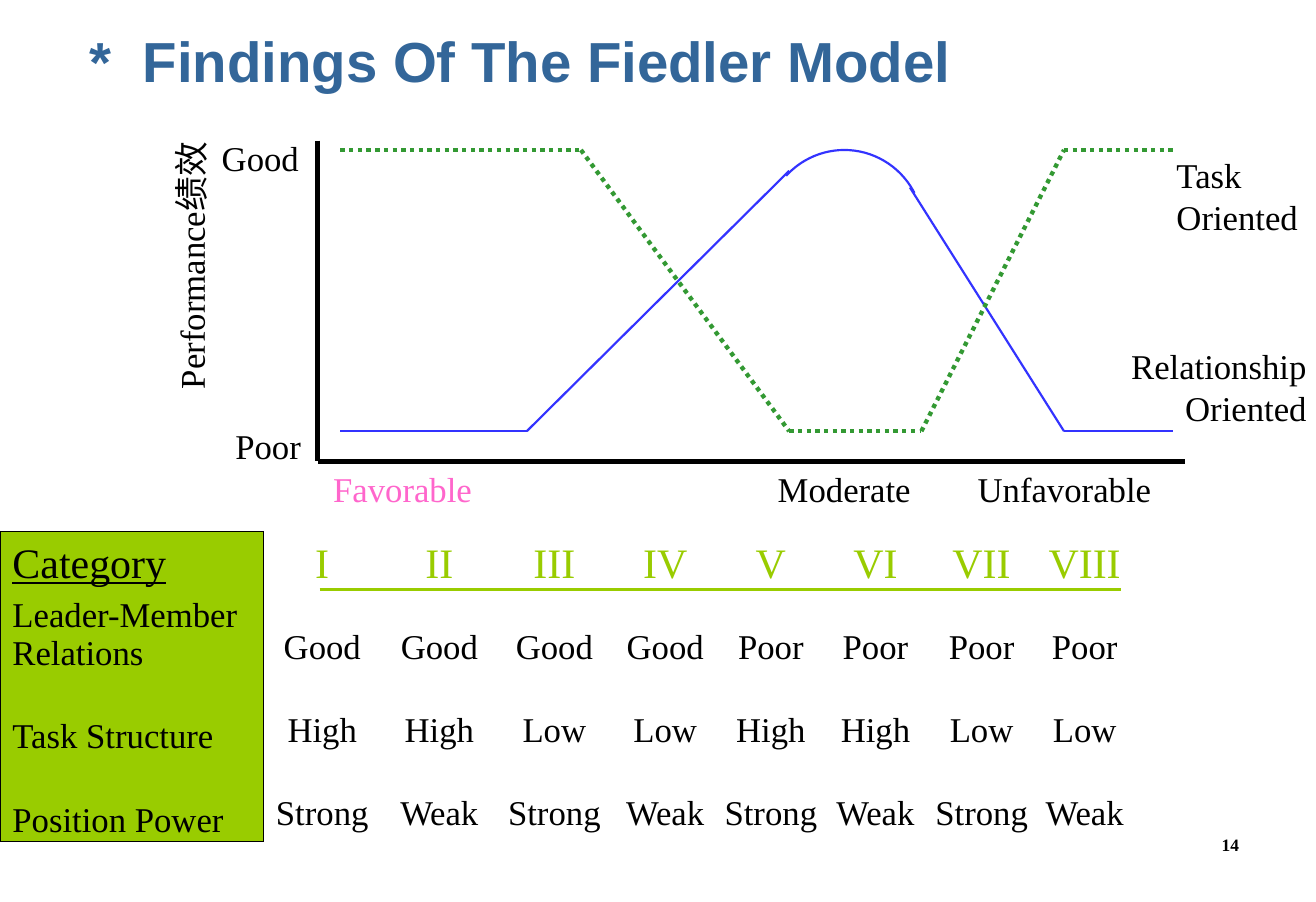
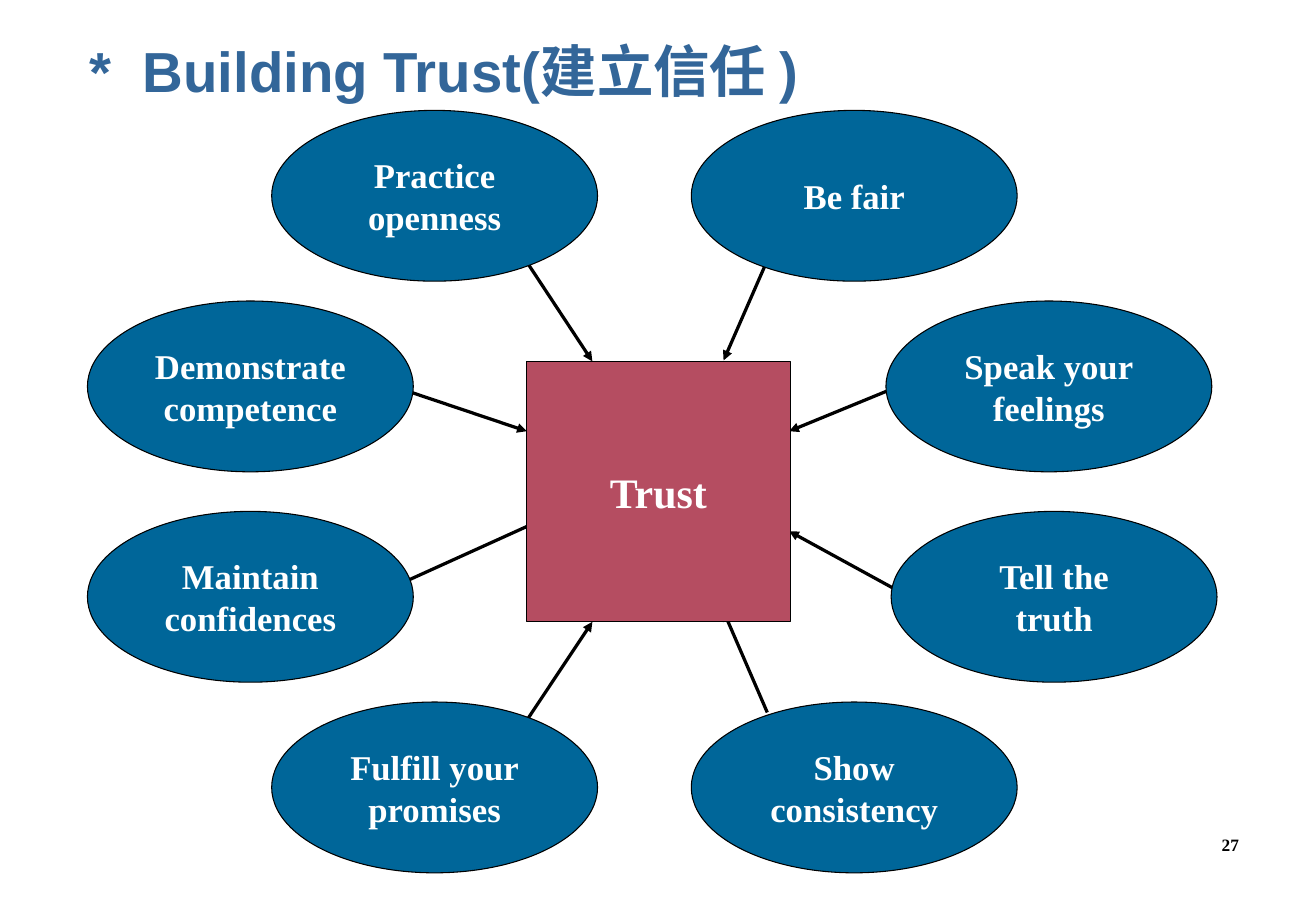
from itertools import pairwise

from lxml import etree
from pptx import Presentation
from pptx.dml.color import RGBColor
from pptx.enum.dml import MSO_LINE
from pptx.enum.shapes import MSO_CONNECTOR, MSO_SHAPE
from pptx.enum.text import MSO_ANCHOR, PP_ALIGN
from pptx.oxml.ns import qn
from pptx.util import Inches, Pt

LEFT, CENTER, RIGHT = PP_ALIGN.LEFT, PP_ALIGN.CENTER, PP_ALIGN.RIGHT
MIDDLE, BOTTOM = MSO_ANCHOR.MIDDLE, MSO_ANCHOR.BOTTOM
STRAIGHT, DOTTED = MSO_CONNECTOR.STRAIGHT, MSO_LINE.ROUND_DOT
RECTANGLE, OVAL, ARC = MSO_SHAPE.RECTANGLE, MSO_SHAPE.OVAL, MSO_SHAPE.ARC

BLACK = RGBColor(0x00, 0x00, 0x00)
WHITE = RGBColor(0xFF, 0xFF, 0xFF)
TITLE_BLUE = RGBColor(0x33, 0x66, 0x99)
LIME = RGBColor(0x99, 0xCC, 0x00)
PINK = RGBColor(0xFF, 0x66, 0xCC)
TASK_GREEN = RGBColor(0x33, 0x99, 0x33)
RELATION_BLUE = RGBColor(0x33, 0x33, 0xFF)
OVAL_BLUE = RGBColor(0x00, 0x66, 0x99)
TRUST_RED = RGBColor(0xB5, 0x4D, 0x61)

SERIF, SANS = "Times New Roman", "Arial"
BODY, LARGE = 24, 29
NO_GRID_STYLE = "{2D5ABB26-0587-4C30-8999-92F81FD0307C}"


def write(frame, text, size=BODY, color=BLACK, bold=False, align=LEFT, face=SERIF):
    """Fill a text frame, one paragraph for each line of the text."""
    frame.text = text
    for paragraph in frame.paragraphs:
        paragraph.alignment = align
        font = paragraph.font
        font.name, font.size, font.bold = face, Pt(size), bold
        font.color.rgb = color


def add_line(slide, start, end, color, width, dash=None, arrow=False):
    line = slide.shapes.add_connector(
        STRAIGHT, *(Inches(value) for value in (*start, *end)))
    line.line.color.rgb = color
    line.line.width = Pt(width)
    if dash:
        line.line.dash_style = dash
    if arrow:
        etree.SubElement(line.line._get_or_add_ln(), qn("a:tailEnd"), type="triangle")
    etree.SubElement(line.element.spPr, qn("a:effectLst"))


deck = Presentation()
deck.slide_width, deck.slide_height = Inches(12.64), Inches(8.66)

# Title and page number of each slide
slides = []
for title_text, title_top, number in (
    ("*  Findings Of The Fiedler Model", 0.19, "14"),
    ("*  Building Trust(建立信任 )", 0.29, "27"),
):
    slide = deck.slides.add_slide(deck.slide_layouts[5])
    title = slide.shapes.title
    title.left, title.top = Inches(0.74), Inches(title_top)
    title.width, title.height = Inches(11.16), Inches(0.77)
    title.text_frame.margin_left = Inches(0.12)
    title.text_frame.vertical_anchor = MIDDLE
    write(title.text_frame, title_text, 39, TITLE_BLUE, True, face=SANS)

    page = slide.shapes.add_textbox(
        Inches(8.85), Inches(7.7), Inches(3.05), Inches(0.57)).text_frame
    page.word_wrap = True
    page.margin_left = page.margin_right = 0
    page.margin_bottom = Inches(0.06)
    page.vertical_anchor = BOTTOM
    write(page, number, 12, bold=True, align=RIGHT)
    slides.append(slide)
findings, trust = slides

# Performance diagram: axes, then the two leadership styles
AXIS_X, AXIS_Y = 3.05, 4.43
HIGH, LOW = 1.44, 4.14
START, RECOVERY, END = 3.27, 10.22, 11.27

add_line(findings, (AXIS_X, AXIS_Y), (11.38, AXIS_Y), BLACK, 3)
add_line(findings, (AXIS_X, 1.35), (AXIS_X, AXIS_Y), BLACK, 3)

task_curve = [(START, HIGH), (5.58, HIGH), (7.58, LOW), (8.85, LOW),
              (RECOVERY, HIGH), (END, HIGH)]
relation_rise = [(START, LOW), (5.06, LOW), (7.58, 1.64)]
relation_fall = [(8.74, 1.8), (RECOVERY, LOW), (END, LOW)]
for curve, color, width, dash in (
    (relation_rise, RELATION_BLUE, 1.5, None),
    (relation_fall, RELATION_BLUE, 1.5, None),
    (task_curve, TASK_GREEN, 3, DOTTED),
):
    for start, end in pairwise(curve):
        add_line(findings, start, end, color, width, dash)

peak = findings.shapes.add_shape(
    ARC, Inches(7.35), Inches(HIGH), Inches(1.52), Inches(1.54))
peak.shadow.inherit = False
peak.fill.background()
peak.line.color.rgb = RELATION_BLUE
peak.line.width = Pt(1.5)
for index, degrees in enumerate((223, 332)):
    peak.adjustments[index] = degrees * 0.6  # 60000ths of a degree, over 100000

for text, left, top, width, height, color, align, rotation in (
    ("Good", 2.01, 1.25, 1, 0.52, BLACK, LEFT, 0),
    ("Poor", 2.14, 4.02, 0.9, 0.52, BLACK, LEFT, 0),
    ("Performance绩效", 0.49, 2.25, 2.69, 0.52, BLACK, LEFT, 270),
    ("Favorable", 3.08, AXIS_Y, 1.58, 0.52, PINK, LEFT, 0),
    ("Moderate", 7.35, AXIS_Y, 1.52, 0.52, BLACK, LEFT, 0),
    ("Unfavorable", 9.27, AXIS_Y, 1.91, 0.52, BLACK, LEFT, 0),
    ("Task\nOriented", 11.18, 1.42, 1.41, 0.92, BLACK, LEFT, 0),
    ("Relationship\nOriented", 10.5, 3.25, 2.1, 0.92, BLACK, RIGHT, 0),
):
    label = findings.shapes.add_textbox(
        Inches(left), Inches(top), Inches(width), Inches(height))
    label.rotation = rotation
    frame = label.text_frame
    frame.word_wrap = False
    frame.margin_left, frame.margin_right = Inches(0.12), Inches(0.05)
    frame.margin_top = frame.margin_bottom = Inches(0.06)
    write(frame, text, color=color, align=align)

# Category table
categories = (
    ("Category", "I", "II", "III", "IV", "V", "VI", "VII", "VIII"),
    ("Leader-Member\nRelations",) + ("Good",) * 4 + ("Poor",) * 4,
    ("Task Structure",) + ("High", "High", "Low", "Low") * 2,
    ("Position Power",) + ("Strong", "Weak") * 4,
)
column_widths = (2.53, 1.13, 1.12, 1.09, 1.04, 0.99, 1.02, 1.02, 0.96)
row_heights = (0.54, 0.84, 0.8, 0.8)
last_row = len(categories) - 1

table_frame = findings.shapes.add_table(
    len(row_heights), len(column_widths), 0, Inches(5.1),
    Inches(sum(column_widths)), Inches(sum(row_heights)))
table_frame.element.find(".//" + qn("a:tableStyleId")).text = NO_GRID_STYLE
table = table_frame.table
table.first_row = table.horz_banding = False
for column, width in zip(table.columns, column_widths):
    column.width = Inches(width)
for row, height in zip(table.rows, row_heights):
    row.height = Inches(height)

for r, values in enumerate(categories):
    for c, value in enumerate(values):
        cell = table.cell(r, c)
        is_header, is_label = r == 0, c == 0
        size = LARGE if is_header else BODY
        color = LIME if is_header and not is_label else BLACK
        write(cell.text_frame, value, size, color, align=LEFT if is_label else CENTER)
        cell.vertical_anchor = BOTTOM
        cell.margin_left = Inches(0.12 if is_label else 0)
        cell.margin_right = cell.margin_top = 0
        cell.margin_bottom = Inches(0 if is_header else 0.02 if is_label else 0.08)
        if not is_label:
            cell.fill.background()
            continue
        sides = ["lnL", "lnR"] + ["lnT"] * is_header + ["lnB"] * (r == last_row)
        for side in sides:
            border = etree.SubElement(
                cell._tc.get_or_add_tcPr(), qn("a:" + side), w=str(Pt(0.75)))
            ink = etree.SubElement(border, qn("a:solidFill"))
            etree.SubElement(ink, qn("a:srgbClr"), val=str(BLACK))
        cell.fill.solid()
        cell.fill.fore_color.rgb = LIME
table.cell(0, 0).text_frame.paragraphs[0].font.underline = True
add_line(findings, (3.07, 5.66), (10.77, 5.66), LIME, 2.25)

# Trust diagram: each practice with its oval's corner and its arrow
TOP, UPPER, LOWER, FOOT = 1.06, 2.89, 4.91, 6.74
practices = (
    ("Practice\nopenness", 2.61, TOP, (5.05, 2.5), (5.69, 3.47)),
    ("Be fair", 6.64, TOP, (7.37, 2.5), (6.95, 3.46)),
    ("Demonstrate\ncompetence", 0.84, UPPER, (3.9, 3.75), (5.06, 4.14)),
    ("Speak your\nfeelings", 8.51, UPPER, (8.53, 3.75), (7.58, 4.14)),
    ("Maintain\nconfidences", 0.84, LOWER, (3.9, 5.58), (5.16, 5.01)),
    ("Tell the\ntruth", 8.56, LOWER, (8.64, 5.68), (7.58, 5.1)),
    ("Fulfill your\npromises", 2.61, FOOT, (5.05, 6.93), (5.69, 5.97)),
    ("Show\nconsistency", 6.64, FOOT, (7.37, 6.84), (6.95, 5.87)),
)
nodes = []
for text, left, top, start, end in practices:
    add_line(trust, start, end, BLACK, 2.25, arrow=True)
    nodes.append((text, OVAL, left, top, 3.13, 1.64, OVAL_BLUE, BODY))
nodes.append(("Trust", RECTANGLE, 5.06, 3.47, 2.53, 2.5, TRUST_RED, LARGE))

for text, outline, left, top, width, height, color, size in nodes:
    node = trust.shapes.add_shape(
        outline, Inches(left), Inches(top), Inches(width), Inches(height))
    node.shadow.inherit = False
    node.fill.solid()
    node.fill.fore_color.rgb = color
    node.line.color.rgb = BLACK
    node.line.width = Pt(0.75)
    node.text_frame.word_wrap = False
    node.text_frame.vertical_anchor = MIDDLE
    write(node.text_frame, text, size, WHITE, True, CENTER)

deck.save("out.pptx")
